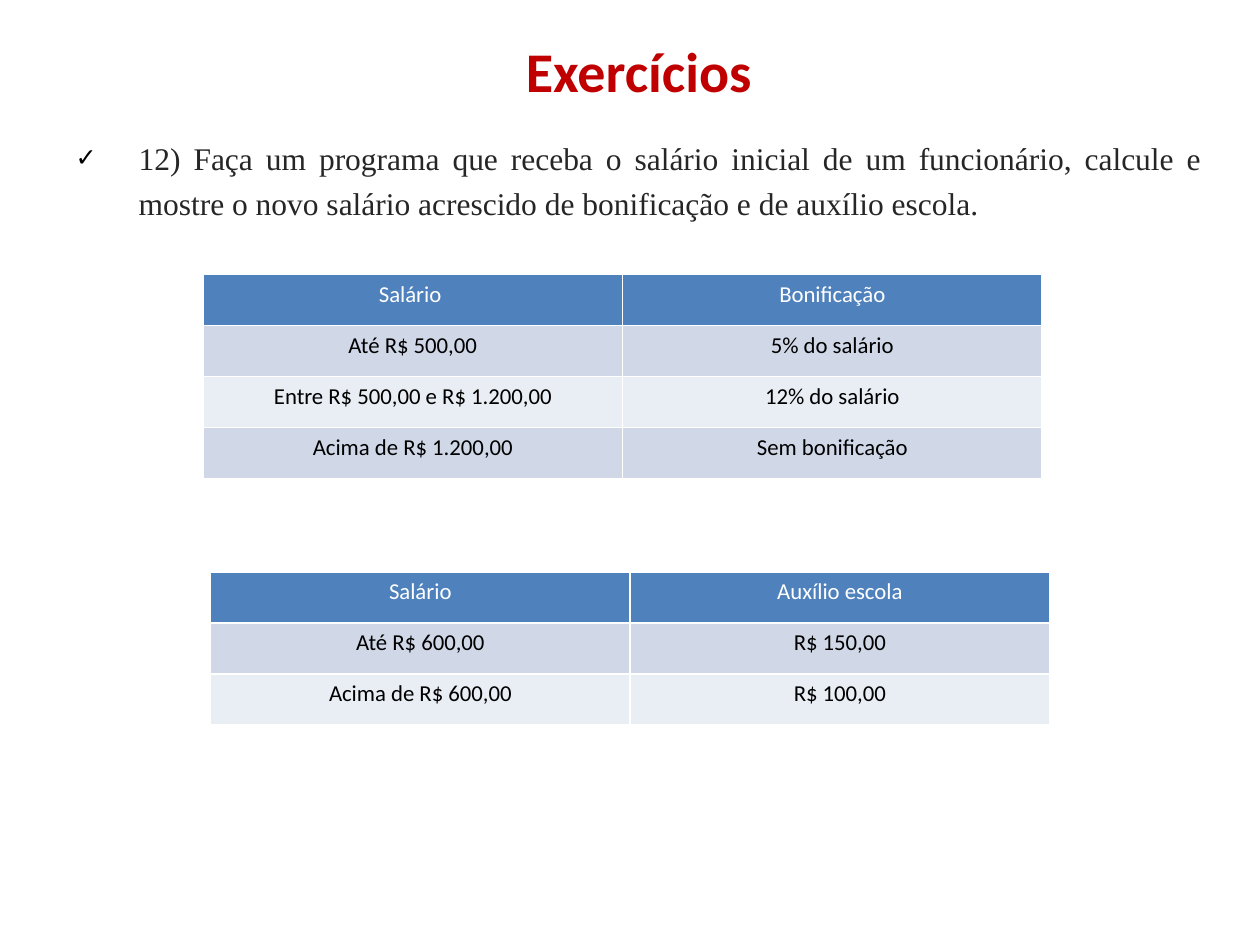
from lxml import etree
from pptx import Presentation
from pptx.dml.color import RGBColor
from pptx.enum.text import MSO_ANCHOR, MSO_AUTO_SIZE, PP_ALIGN
from pptx.oxml.ns import qn
from pptx.util import Inches, Pt

CENTER, JUSTIFY = PP_ALIGN.CENTER, PP_ALIGN.JUSTIFY
MIDDLE, TOP = MSO_ANCHOR.MIDDLE, MSO_ANCHOR.TOP
NO_AUTOFIT = MSO_AUTO_SIZE.NONE

HEADER_FILL = "4F81BD"
BAND_FILLS = ["D0D8E8", "E9EDF4"]
COLUMN_WIDTH, ROW_HEIGHT = 3.33, 0.405

TABLES = [
    (1.61, 2.18, [
        ("Salário ", "Bonificação"),
        ("Até R$ 500,00", "5% do salário"),
        ("Entre R$ 500,00 e R$ 1.200,00", "12% do salário"),
        ("Acima de R$ 1.200,00", "Sem bonificação"),
    ]),
    (1.67, 4.54, [
        ("Salário", "Auxílio escola"),
        ("Até R$ 600,00", "R$ 150,00"),
        ("Acima de R$ 600,00", "R$ 100,00"),
    ]),
]


def style_paragraph(para, alignment, font_name, size, color, bold=False):
    para.alignment = alignment
    para.font.name = font_name
    para.font.size = Pt(size)
    para.font.bold = bold
    para.font.color.rgb = RGBColor.from_string(color)


def place_text(box, left, top, width, height, text, anchor):
    """Move a placeholder, fill it and return its paragraph."""
    box.left, box.top = Inches(left), Inches(top)
    box.width, box.height = Inches(width), Inches(height)
    frame = box.text_frame
    frame.text = text
    frame.vertical_anchor = anchor
    frame.auto_size = NO_AUTOFIT
    return frame.paragraphs[0]


deck = Presentation()
deck.slide_width, deck.slide_height = Inches(10), Inches(7.5)
page = deck.slides.add_slide(deck.slide_layouts[1])

title = place_text(page.shapes.title, 0.65, -0.11, 8.84, 1.34, "Exercícios", MIDDLE)
style_paragraph(title, CENTER, "Calibri", 32, "C00000", bold=True)

exercise = place_text(
    page.placeholders[1], 0.35, 0.99, 9.29, 5.83,
    "12) Faça um programa que receba o salário inicial de um funcionário, calcule e "
    "mostre o novo salário acrescido de bonificação e de auxílio escola.", TOP)
exercise.line_spacing = 1.2
exercise.space_before = Pt(6)

# Check mark bullet with a hanging indent
properties = exercise._p.get_or_add_pPr()
properties.set("marL", str(Inches(0.65)))
properties.set("indent", str(Inches(-0.5)))
bullet_color = etree.SubElement(properties, qn("a:buClr"))
etree.SubElement(bullet_color, qn("a:srgbClr"), val="000000")
etree.SubElement(properties, qn("a:buSzPct"), val="80000")
etree.SubElement(properties, qn("a:buChar"), char="✓")
style_paragraph(exercise, JUSTIFY, "Times New Roman", 18, "262626")

for left, top, rows in TABLES:
    table = page.shapes.add_table(
        len(rows), 2, Inches(left), Inches(top),
        Inches(2 * COLUMN_WIDTH), Inches(len(rows) * ROW_HEIGHT)).table
    for row_index, row in enumerate(rows):
        is_header = row_index == 0
        fill = HEADER_FILL if is_header else BAND_FILLS[(row_index - 1) % 2]
        for column_index, text in enumerate(row):
            cell = table.cell(row_index, column_index)
            cell.text = text
            cell.fill.solid()
            cell.fill.fore_color.rgb = RGBColor.from_string(fill)
            style_paragraph(cell.text_frame.paragraphs[0], CENTER, "Calibri", 13,
                            "FFFFFF" if is_header else "000000")

deck.save("out.pptx")
